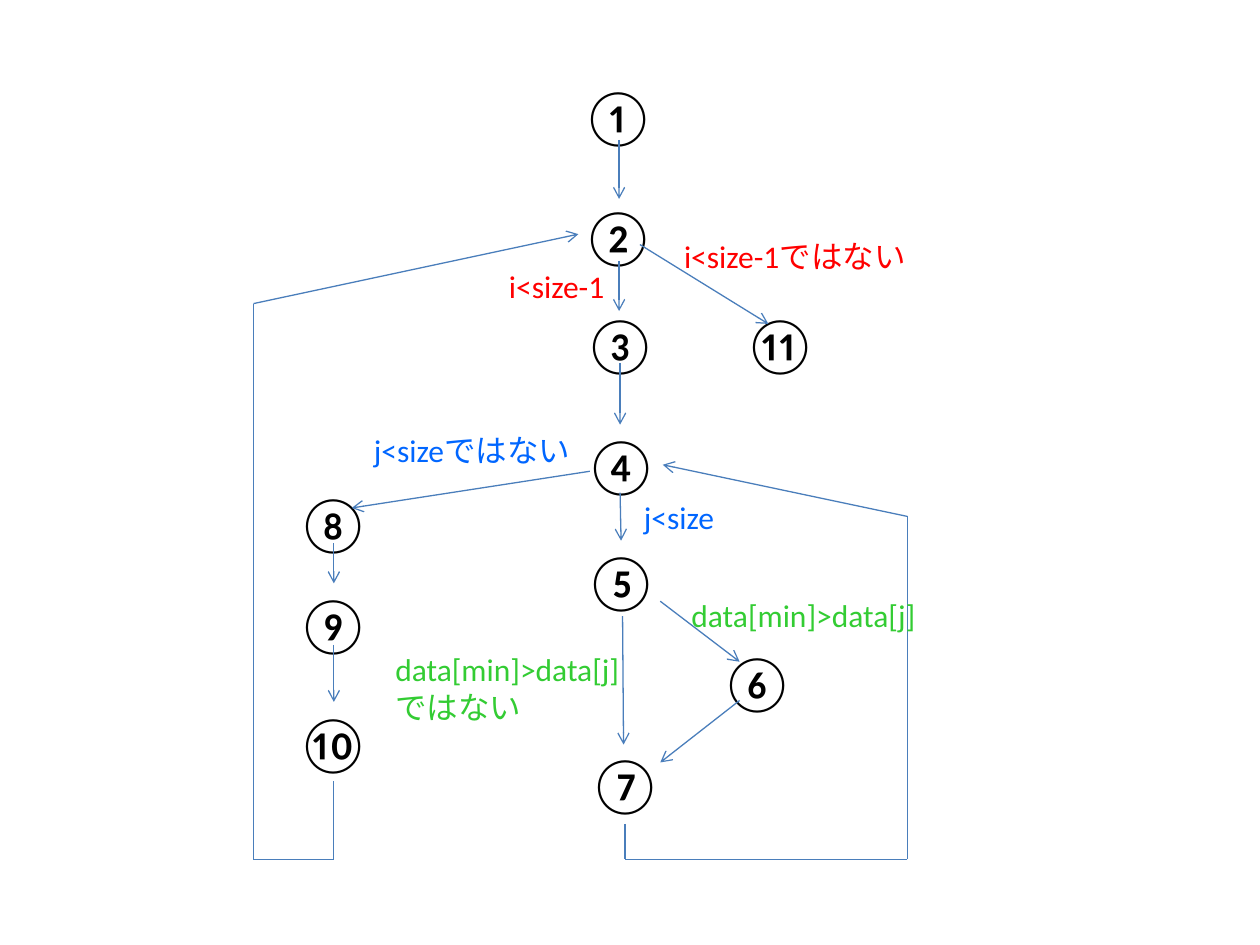
from dataclasses import dataclass

import pptx
import pptx.dml.color
import pptx.enum.shapes
import pptx.enum.text
import pptx.oxml
import pptx.oxml.ns
import pptx.util
from pptx.util import Cm

FONT = "Calibri"
BLACK, RED, BLUE, GREEN, LINE = "000000", "FF0000", "0066FF", "33CC33", "4A7EBB"


@dataclass
class Label:
    """A line of text with its box in centimetres."""
    text: str
    left: float
    top: float
    width: float
    height: float = 1.02
    color: str = BLACK
    size: int = 18


@dataclass
class Route:
    """A chain of points in centimetres that ends in an arrowhead."""
    points: list[tuple[float, float]]


def rgb(color: str) -> pptx.dml.color.RGBColor:
    """Turn a hex string into a colour."""
    return pptx.dml.color.RGBColor.from_string(color)


def node(number: int, left: float, top: float) -> Label:
    """Describe a flow graph node as a circled number."""
    return Label(chr(ord("①") + number - 1), left, top, 2, 1.63, size=32)


def draw_label(slide, label: Label) -> None:
    """Draw one unwrapped text box."""
    box = (label.left, label.top, label.width, label.height)
    sp = slide.shapes.add_textbox(*map(Cm, box))
    tf = sp.text_frame
    tf.word_wrap = False
    tf.auto_size = pptx.enum.text.MSO_AUTO_SIZE.SHAPE_TO_FIT_TEXT
    tf.text = label.text
    for p in tf.paragraphs:
        for r in p.runs:
            r.font.name = FONT
            r.font.size = pptx.util.Pt(label.size)
            r.font.color.rgb = rgb(label.color)


def draw_route(slide, route: Route) -> None:
    """Draw straight segments through the points, with an arrow on the last."""
    for start, end in zip(route.points, route.points[1:]):
        sp = slide.shapes.add_connector(
            pptx.enum.shapes.MSO_CONNECTOR.STRAIGHT, *map(Cm, start + end))
        sp.line.color.rgb = rgb(LINE)
        sp.line.width = pptx.util.Pt(0.74)
        if end == route.points[-1]:
            tail = pptx.oxml.parse_xml(
                f'<a:tailEnd {pptx.oxml.ns.nsdecls("a")} type="arrow"/>')
            sp.line._get_or_add_ln().append(tail)
        sp._element.spPr.append(pptx.oxml.parse_xml(
            f'<a:effectLst {pptx.oxml.ns.nsdecls("a")}/>'))


NODES = [
    node(1, 11.48, 1.52),
    node(2, 11.48, 3.94),
    node(3, 11.51, 6.12),
    node(4, 11.53, 8.56),
    node(5, 11.53, 10.9),
    node(6, 14.27, 12.93),
    node(7, 11.61, 14.99),
    node(8, 5.72, 9.73),
    node(9, 5.72, 11.76),
    node(10, 5.72, 14.15),
    node(11, 14.73, 6.12),
]

ROUTES = [
    Route([(12.48, 2.82), (12.48, 4.01)]),
    Route([(12.48, 5.26), (12.48, 6.27)]),
    Route([(12.5, 7.32), (12.5, 8.56)]),
    Route([(12.5, 9.93), (12.52, 10.9)]),
    Route([(12.55, 12.42), (12.57, 15.01)]),
    Route([(13.31, 12.12), (14.91, 13.34)]),
    Route([(14.91, 14.12), (13.31, 15.37)]),
    Route([(11.89, 9.5), (7.09, 10.24)]),
    Route([(6.73, 10.95), (6.73, 11.76)]),
    Route([(6.73, 13), (6.73, 14.15)]),
    Route([(12.9, 4.93), (15.49, 6.53)]),
    Route([(12.6, 16.61), (12.6, 17.32), (18.29, 17.32), (18.29, 10.41), (13.36, 9.37)]),
    Route([(6.73, 15.75), (6.73, 17.32), (5.11, 17.32), (5.11, 6.12), (11.66, 4.72)]),
]

CONDITIONS = [
    Label("i<size-1", 10.01, 5.26, 2.44, color=RED),
    Label("i<size-1ではない", 13.54, 4.65, 5.13, color=RED),
    Label("j<sizeではない", 7.29, 8.56, 4.62, color=BLUE),
    Label("j<size", 12.73, 9.91, 1.93, color=BLUE),
    Label("data[min]>data[j]", 13.69, 11.89, 5.05, color=GREEN),
    Label("data[min]>data[j]\nではない", 7.72, 12.98, 5.05, 1.78, GREEN),
]

prs = pptx.Presentation()
prs.slide_width, prs.slide_height = Cm(25.4), Cm(19.05)
s = prs.slides.add_slide(prs.slide_layouts[6])
for item in NODES:
    draw_label(s, item)
for item in ROUTES:
    draw_route(s, item)
for item in CONDITIONS:
    draw_label(s, item)
prs.save("out.pptx")
